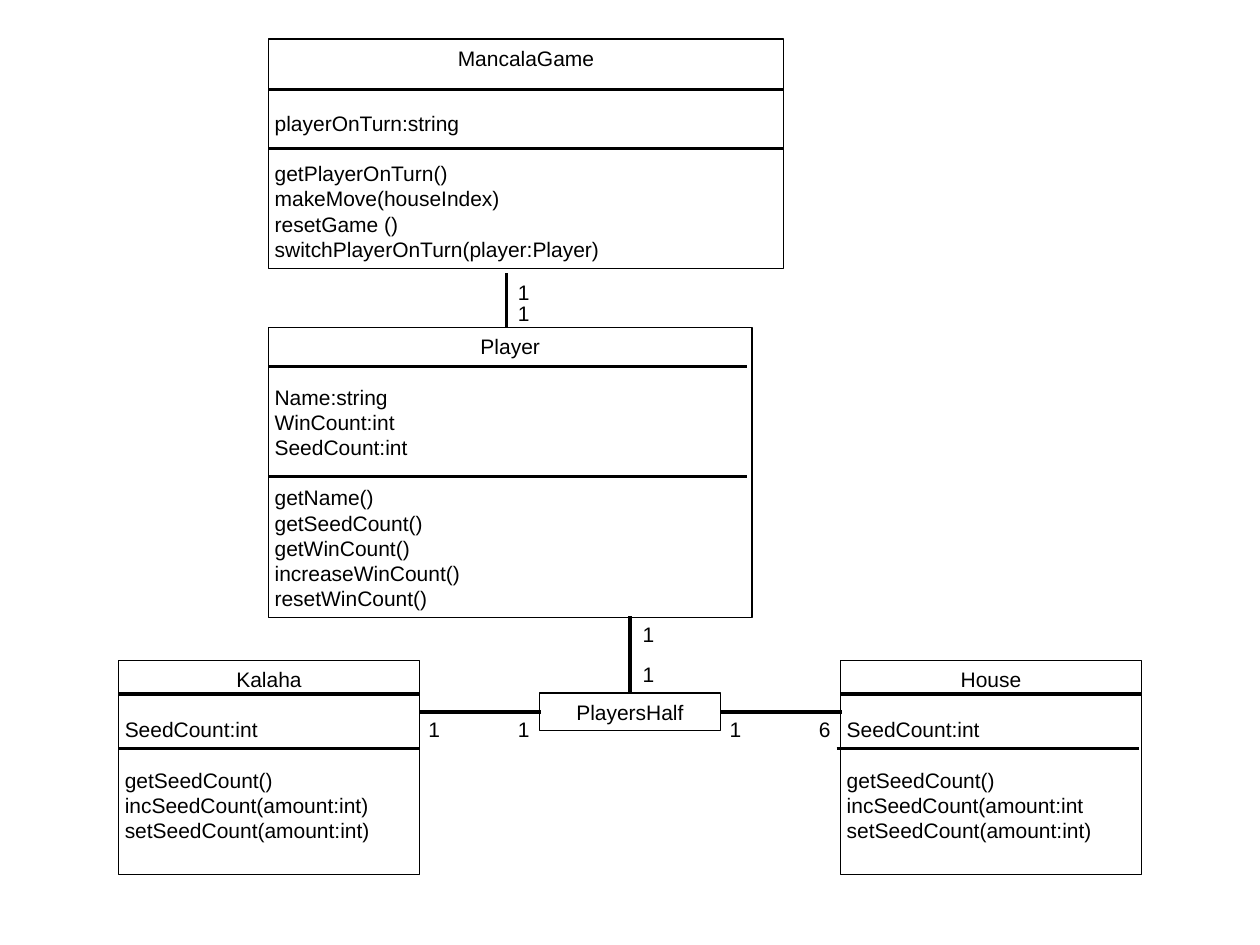
from pptx import Presentation
from pptx.dml.color import RGBColor
from pptx.enum.shapes import MSO_CONNECTOR as CONN, MSO_SHAPE as SHAPE
from pptx.enum.text import MSO_ANCHOR as ANCHOR, MSO_AUTO_SIZE as FIT, PP_ALIGN as ALIGN
from pptx.oxml.ns import qn
from pptx.util import Inches, Pt
from lxml import etree

COLORS = {"ink": "000000"}
INK = RGBColor.from_string(COLORS["ink"])
GAP = 14.4

prs = Presentation()
prs.slide_width, prs.slide_height = Inches(10), Inches(7.5)
COL, ROW = prs.slide_width / 100, prs.slide_height / 75
s = prs.slides.add_slide(prs.slide_layouts[6])


def place(x, y, w, h):
    return round(x * COL), round(y * ROW), round(w * COL), round(h * ROW)


def write(tf, groups, align, wrap, gap=GAP):
    tf.margin_left = tf.margin_right = tf.margin_top = tf.margin_bottom = Inches(0.05)
    tf.word_wrap, tf.auto_size, tf.vertical_anchor = wrap, FIT.SHAPE_TO_FIT_TEXT, ANCHOR.TOP
    for g, group in enumerate(groups):
        for i, line in enumerate(group):
            p = tf.paragraphs[0] if g == i == 0 else tf.add_paragraph()
            p.text = line
            p.alignment = ALIGN.LEFT if g else align
            p.font.size, p.font.name, p.font.color.rgb = Pt(12), "Arial", INK
            if g and i == 0:
                p.space_before = Pt(gap if g == 1 else GAP)


seed = ["SeedCount:int"]
classes = [
    ((21.3, 26, 38.4, 23), GAP, [
        ["Player"],
        ["Name:string", "WinCount:int", "SeedCount:int"],
        ["getName()", "getSeedCount()", "getWinCount()", "increaseWinCount()", "resetWinCount()"]]),
    ((42.8, 55, 14.4, 3), GAP, [["PlayersHalf"]]),
    ((66.7, 52.4, 23.9, 17), GAP, [
        ["House"], seed,
        ["getSeedCount()", "incSeedCount(amount:int", "setSeedCount(amount:int)"]]),
    ((21.3, 3.1, 40.9, 18.2), GAP + 8.4, [
        ["MancalaGame"], ["playerOnTurn:string"],
        ["getPlayerOnTurn()", "makeMove(houseIndex)", "resetGame ()",
         "switchPlayerOnTurn(player:Player)"]]),
    ((9.4, 52.4, 23.9, 17), GAP, [
        ["Kalaha"], seed,
        ["getSeedCount()", "incSeedCount(amount:int)", "setSeedCount(amount:int)"]]),
]
for box, gap, groups in classes:
    sp = s.shapes.add_shape(SHAPE.RECTANGLE, *place(*box))
    sp.shadow.inherit = False
    sp.fill.background()
    sp.line.color.rgb, sp.line.width = INK, Pt(0)
    write(sp.text_frame, groups, ALIGN.CENTER, True, gap)

dividers = [(x1, y, x2, y) for x1, x2, rows in [
    (21.3, 62.2, (7.1, 11.8)),
    (21.3, 59.3, (29.1, 37.8)),
    (9.4, 33.3, (55.1, 59.4)),
    (66.7, 90.6, (55.1,)),
    (66.4, 90.4, (59.4,)),
] for y in rows]
links = [(40.2, 26, 40.2, 21.7), (50, 55, 50, 48.9),
         (66.8, 56.5, 57.2, 56.5), (42.9, 56.5, 33.3, 56.5)]
for ends in links + dividers:
    ln = s.shapes.add_connector(CONN.STRAIGHT, *place(*ends))
    ln.line.color.rgb, ln.line.width = INK, Pt(0)
    etree.SubElement(ln._element.spPr, qn("a:effectLst"))

counts = [(40.6, 21.7, "1"), (40.6, 23.4, "1"), (50.5, 48.8, "1"), (50.5, 52, "1"),
          (33.5, 56.4, "1"), (40.6, 56.4, "1"), (57.4, 56.4, "1"), (64.5, 56.4, "6")]
for x, y, count in counts:
    tb = s.shapes.add_textbox(*place(x, y, 1.9, 3))
    write(tb.text_frame, [[count]], ALIGN.RIGHT, False)

prs.save("out.pptx")
